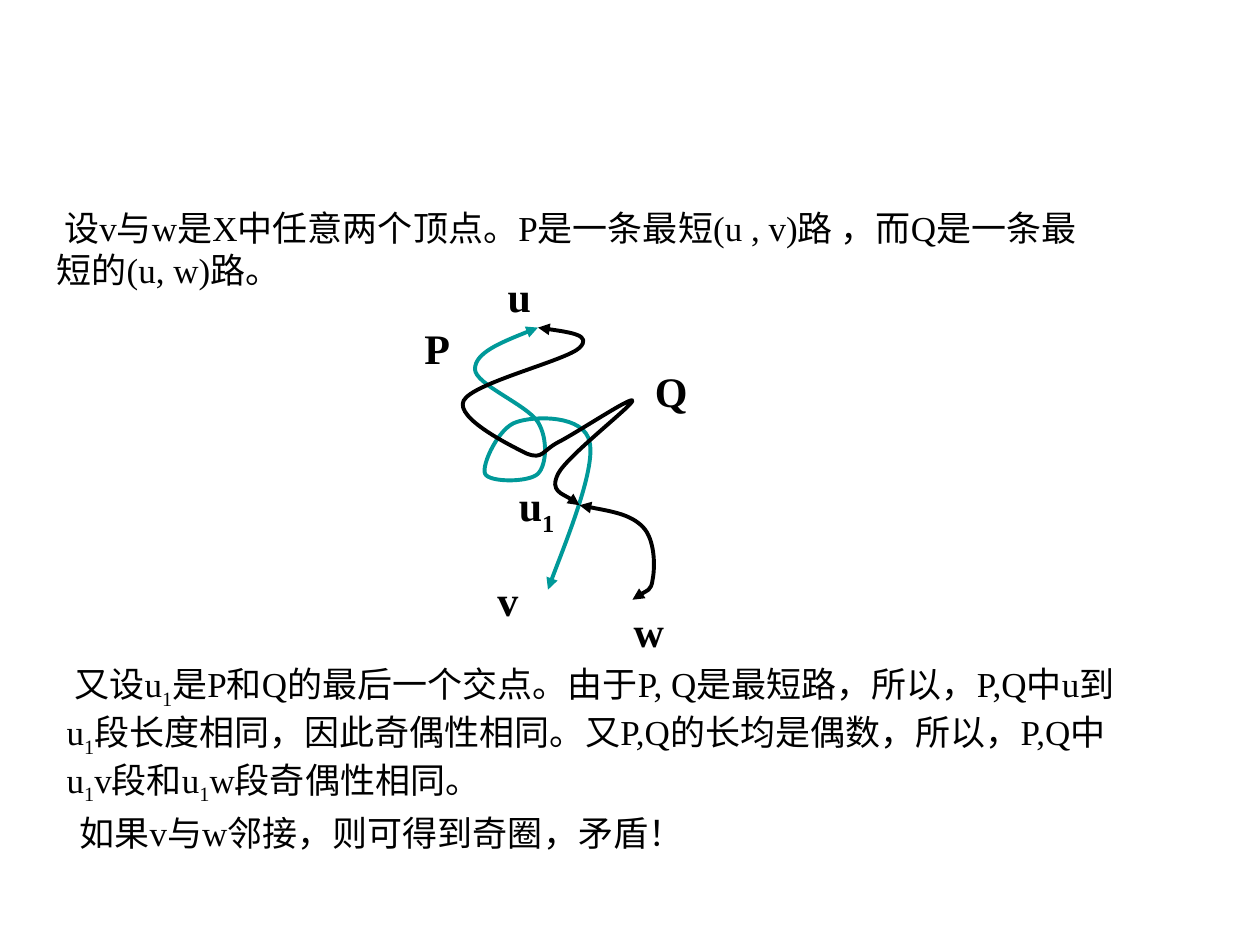
import dataclasses

import pptx
import pptx.dml.color
import pptx.enum.text
import pptx.oxml.ns
import pptx.oxml.xmlchemy
import pptx.util
from lxml import etree
from pptx.util import Inches

FONT = "Times New Roman"
BLACK = "000000"
TEAL = "009999"


@dataclasses.dataclass
class Label:
    text: str
    left: float
    top: float
    width: float = 0.77
    height: float = 0.5


@dataclasses.dataclass
class Curve:
    color: str
    points: list[tuple[float, float]]


def rgb(color: str) -> pptx.dml.color.RGBColor:
    return pptx.dml.color.RGBColor.from_string(color)


def add_text(shapes, box: Label, size: float = 20, bold: bool = False, color: str = BLACK) -> None:
    """Underscores enclose subscripts."""
    sp = shapes.add_textbox(Inches(box.left), Inches(box.top), Inches(box.width), Inches(box.height))
    tf = sp.text_frame
    tf.word_wrap = True
    tf.auto_size = pptx.enum.text.MSO_AUTO_SIZE.SHAPE_TO_FIT_TEXT
    p = tf.paragraphs[0]
    for i, part in enumerate(box.text.split("_")):
        if not part:
            continue
        r = p.add_run()
        r.text = part
        r.font.name = FONT
        r.font.size = pptx.util.Pt(size)
        r.font.bold = bold
        r.font.color.rgb = rgb(color)
        if i % 2:
            r._r.get_or_add_rPr().set("baseline", "-25000")


def add_curve(shapes, curve: Curve) -> None:
    qn = pptx.oxml.ns.qn
    start, *rest = [(Inches(x), Inches(y)) for x, y in curve.points]
    builder = shapes.build_freeform(*start)
    builder.add_line_segments(rest, close=False)
    sp = builder.convert_to_shape()
    sp.shadow.inherit = False
    sp.fill.background()
    sp.line.color.rgb = rgb(curve.color)
    sp.line.width = pptx.util.Pt(2.25)
    segments = list(sp._element.iter(qn("a:lnTo")))
    path = segments[0].getparent()
    for i in range(0, len(segments), 3):
        bezier = etree.SubElement(path, qn("a:cubicBezTo"))
        for segment in segments[i:i + 3]:
            bezier.append(segment[0])
            path.remove(segment)
    ln = sp._element.spPr.find(qn("a:ln"))
    for end in ("a:headEnd", "a:tailEnd"):
        etree.SubElement(ln, qn(end), type="triangle")


PARAGRAPHS = [
    Label(" 设v与w是X中任意两个顶点。P是一条最短(u , v)路 ，而Q是一条最 短的(u, w)路。",
          0.35, 1.59, 8.58, 0.77),
    Label(" 又设u_1_是P和Q的最后一个交点。由于P, Q是最短路，所以，P,Q中u到u_1_段长度相同，"
          "因此奇偶性相同。又P,Q的长均是偶数，所以，P,Q中u_1_v段和u_1_w段奇偶性相同。",
          0.43, 5.21, 8.58, 1.24),
    Label(" 如果v与w邻接，则可得到奇圈，矛盾！", 0.47, 6.39, 8.58, 0.44),
]
LABELS = [
    Label("Q", 5.1, 2.85, 0.93),
    Label("P", 3.27, 2.51, 0.93),
    Label("v", 3.85, 4.51),
    Label("u", 3.93, 2.1),
    Label("w", 4.93, 4.76),
    Label("u_1_", 4.02, 3.76, height=0.56),
]
U = (4.27, 2.6)
U1 = (4.6, 4.01)
CURVES = [
    Curve(TEAL, [U, (4.02, 2.7), (3.77, 2.8), (3.77, 2.93),
                 (3.77, 3.05), (4.18, 3.21), (4.27, 3.35),
                 (4.35, 3.48), (4.34, 3.69), (4.27, 3.76),
                 (4.2, 3.83), (3.88, 3.83), (3.85, 3.76),
                 (3.82, 3.69), (3.96, 3.39), (4.1, 3.35),
                 (4.24, 3.3), (4.64, 3.29), (4.68, 3.51),
                 (4.73, 3.73), (4.41, 4.5), (4.35, 4.68)]),
    Curve(BLACK, [U, (4.48, 2.63), (4.7, 2.66), (4.6, 2.76),
                  (4.5, 2.86), (3.75, 3.04), (3.68, 3.18),
                  (3.61, 3.32), (4.06, 3.54), (4.18, 3.6),
                  (4.31, 3.65), (4.3, 3.58), (4.43, 3.51),
                  (4.57, 3.44), (5.02, 3.14), (5.02, 3.18),
                  (5.02, 3.22), (4.5, 3.62), (4.43, 3.76),
                  (4.36, 3.9), (4.57, 3.97), U1]),
    Curve(BLACK, [U1, (4.8, 4.05), (5, 4.08), (5.1, 4.18),
                  (5.2, 4.28), (5.2, 4.5), (5.18, 4.6),
                  (5.17, 4.69), (5.05, 4.73), (5.02, 4.76)]),
]


def main() -> None:
    prs = pptx.Presentation()
    prs.slide_width = Inches(10)
    prs.slide_height = Inches(7.5)
    s = prs.slides.add_slide(prs.slide_layouts[6])
    add_text(s.shapes, PARAGRAPHS[0])
    graph = s.shapes.add_group_shape()
    for curve in CURVES:
        add_curve(graph.shapes, curve)
    for label in LABELS:
        add_text(graph.shapes, label, size=24, bold=True)
    for paragraph in PARAGRAPHS[1:]:
        add_text(s.shapes, paragraph)
    prs.save("out.pptx")


if __name__ == "__main__":
    main()
